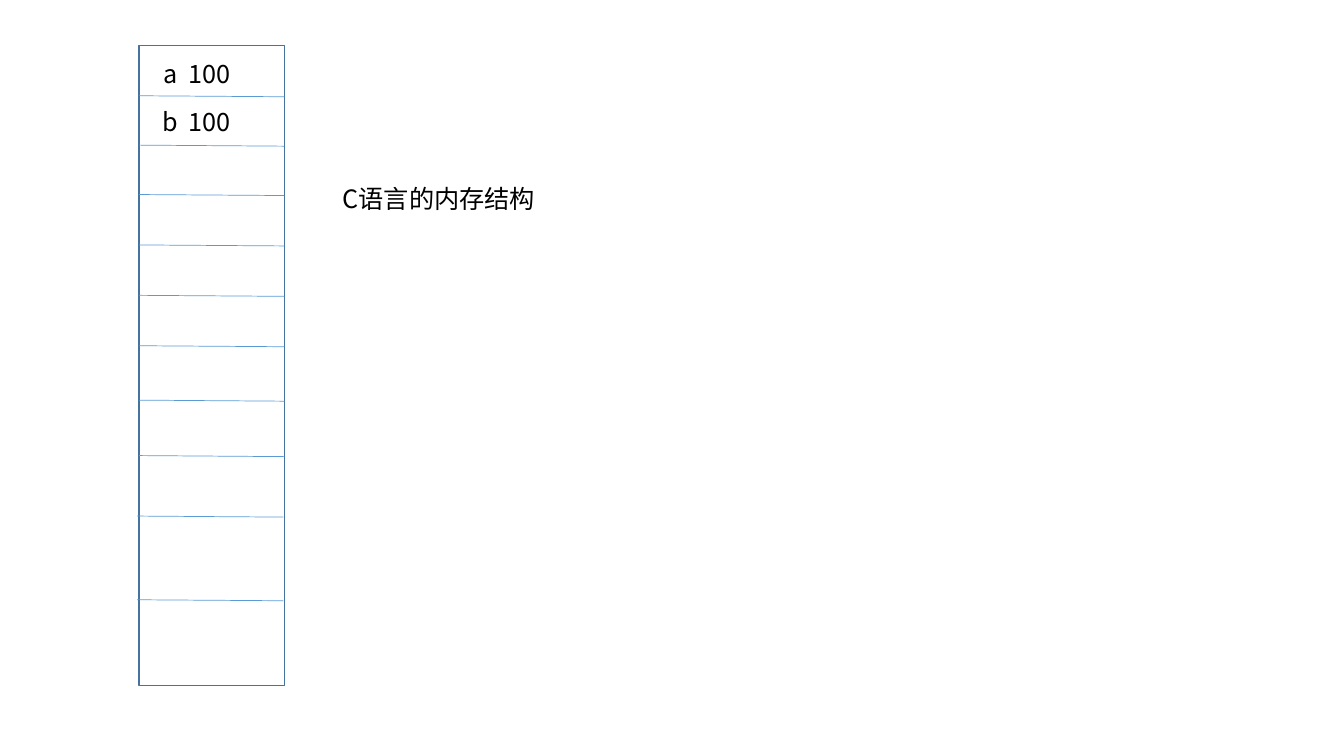
from dataclasses import dataclass

import pptx
import pptx.dml.color
import pptx.enum.shapes
import pptx.enum.text
import pptx.oxml
import pptx.oxml.ns
import pptx.util

PX = 9144  # EMU per px, 100 px to the inch


@dataclass(frozen=True)
class Theme:
    font: str = "Noto Sans CJK SC"
    text: str = "000000"
    paper: str = "FFFFFF"
    frame: str = "43739E"
    divider: str = "5B9BD5"
    text_size: float = 18
    frame_width: float = 1
    divider_width: float = 0.5


def rgb(value):
    return pptx.dml.color.RGBColor.from_string(value)


def write_text(text_frame, text, *, font, size, color):
    run = text_frame.paragraphs[0].add_run()
    run.text = text
    run.font.name = font
    run.font.size = pptx.util.Pt(size)
    run.font.color.rgb = rgb(color)
    # The East Asian typeface follows the Latin one
    east_asian = pptx.oxml.parse_xml(
        f'<a:ea {pptx.oxml.ns.nsdecls("a")} typeface="{font}"/>')
    run.font._element.find(pptx.oxml.ns.qn("a:latin")).addnext(east_asian)


class SlideBuilder:
    def __init__(self, slide, theme):
        self.slide = slide
        self.theme = theme

    def outline(self, line, color, width):
        line.color.rgb = rgb(color)
        line.width = pptx.util.Pt(width)

    def box(self, left, top, width, height):
        shape = self.slide.shapes.add_shape(
            pptx.enum.shapes.MSO_SHAPE.RECTANGLE,
            left * PX, top * PX, width * PX, height * PX)
        shape.shadow.inherit = False
        shape.fill.solid()
        shape.fill.fore_color.rgb = rgb(self.theme.paper)
        self.outline(shape.line, self.theme.frame, self.theme.frame_width)

    def divider(self, x1, y1, x2, y2):
        connector = self.slide.shapes.add_connector(
            pptx.enum.shapes.MSO_CONNECTOR.STRAIGHT,
            x1 * PX, y1 * PX, x2 * PX, y2 * PX)
        self.outline(connector.line, self.theme.divider, self.theme.divider_width)
        connector._element.spPr.append(
            pptx.oxml.parse_xml(f'<a:effectLst {pptx.oxml.ns.nsdecls("a")}/>'))

    def label(self, text, left, top, width, height=40):
        shape = self.slide.shapes.add_textbox(
            left * PX, top * PX, width * PX, height * PX)
        shape.text_frame.word_wrap = True
        shape.text_frame.auto_size = pptx.enum.text.MSO_AUTO_SIZE.SHAPE_TO_FIT_TEXT
        write_text(shape.text_frame, text, font=self.theme.font,
                   size=self.theme.text_size, color=self.theme.text)


def main():
    presentation = pptx.Presentation()
    presentation.slide_width = 1333 * PX
    presentation.slide_height = 750 * PX
    slide = presentation.slides.add_slide(presentation.slide_layouts[6])
    builder = SlideBuilder(slide, Theme())

    # Memory column
    left, width = 138, 144
    builder.box(left, 45, width, 635)

    # Cell dividers, each falling slightly to the right
    for y in (95, 144, 193, 243, 293, 343, 397, 452):
        builder.divider(left, y, left + width, y + 1)
    for y in (512, 595):
        builder.divider(left - 2, y, left + width - 1, y + 1)

    # Variables held in the first two cells
    builder.label("a  100", 152, 53, 116)
    builder.label("b  100", 151, 101, 116)

    # Caption
    builder.label("C语言的内存结构", 330, 177, 317)

    presentation.save("out.pptx")


if __name__ == "__main__":
    main()
